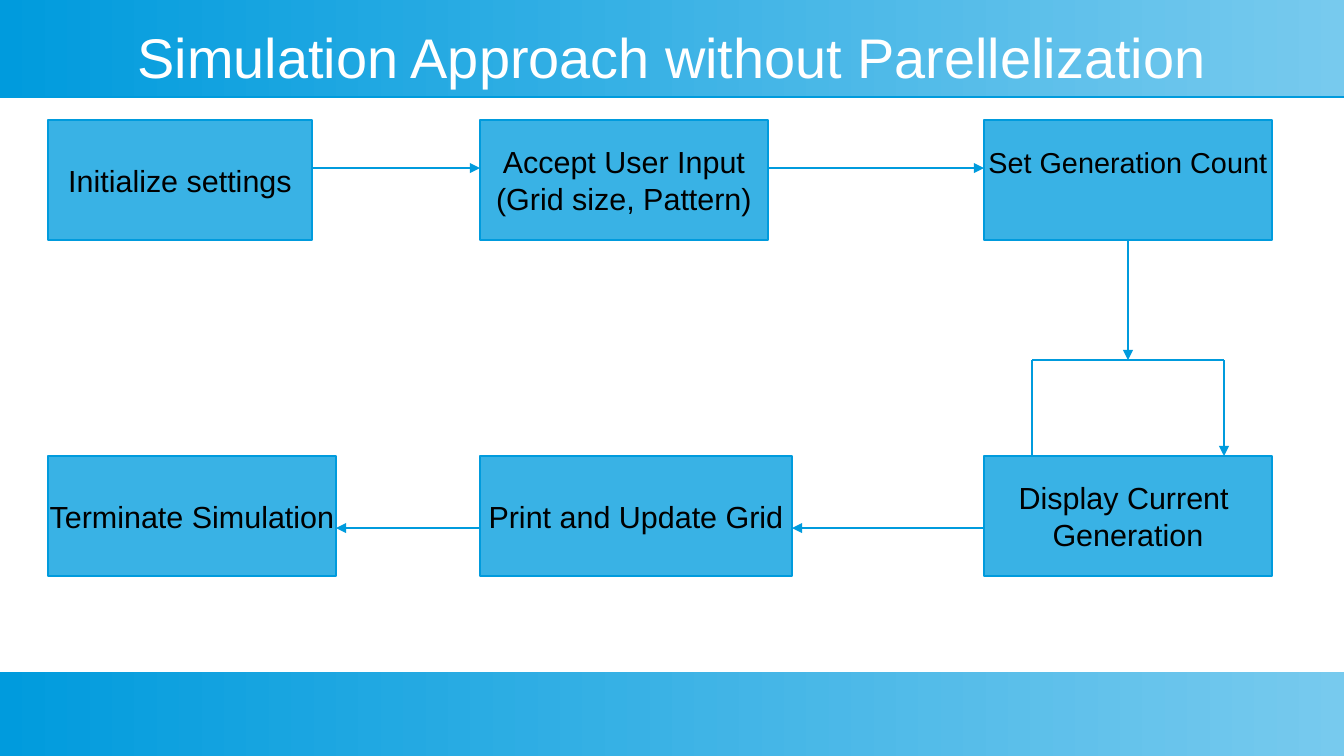
from lxml import etree
from pptx import Presentation
from pptx.dml.color import RGBColor
from pptx.enum.shapes import MSO_CONNECTOR, MSO_SHAPE
from pptx.enum.text import MSO_ANCHOR, PP_ALIGN
from pptx.oxml.ns import qn
from pptx.util import Cm, Pt

RECTANGLE = MSO_SHAPE.RECTANGLE
STRAIGHT = MSO_CONNECTOR.STRAIGHT
MIDDLE = MSO_ANCHOR.MIDDLE
CENTER = PP_ALIGN.CENTER

DEEP_BLUE = RGBColor(0x00, 0x9B, 0xDD)
PALE_BLUE = RGBColor(0x77, 0xCA, 0xEE)
BOX_BLUE = RGBColor(0x39, 0xB2, 0xE5)
BLACK = RGBColor(0x00, 0x00, 0x00)
WHITE = RGBColor(0xFF, 0xFF, 0xFF)

SLIDE_WIDTH, SLIDE_HEIGHT = 28, 15.75
BOX_HEIGHT = 2.5
COLUMNS = (1, 10, 20.5)
TOP_ROW, BOTTOM_ROW = 2.5, 9.5
TOP_FLOW, BOTTOM_FLOW = TOP_ROW + 1, BOTTOM_ROW + 1.5
LOOP_TOP, LOOP_LEFT, LOOP_RIGHT = 7.5, 21.5, 25.5


class FlowSlide:
    font_name = "Arial"
    line_width = Pt(1.42)

    def __init__(self, slide):
        self.shapes = slide.shapes

    def put_text(self, frame, lines, size, color):
        frame.vertical_anchor = MIDDLE
        frame.text = "\n".join(lines)
        for paragraph in frame.paragraphs:
            paragraph.alignment = CENTER
            paragraph.font.name = self.font_name
            paragraph.font.size = Pt(size)
            paragraph.font.color.rgb = color

    def band(self, top, height):
        band = self.shapes.add_shape(
            RECTANGLE, 0, Cm(top), Cm(SLIDE_WIDTH), Cm(height))
        band.shadow.inherit = False
        band.line.fill.background()
        band.fill.gradient()
        band.fill.gradient_angle = 0
        for stop, color in zip(band.fill.gradient_stops, (DEEP_BLUE, PALE_BLUE)):
            stop.color.rgb = color

    def title(self, text):
        title = self.shapes.add_textbox(Cm(1), Cm(0.5), Cm(26), Cm(1.32))
        frame = title.text_frame
        frame.word_wrap = True
        frame.margin_left = frame.margin_right = 0
        frame.margin_top = frame.margin_bottom = 0
        self.put_text(frame, [text], 33, WHITE)

    def step(self, left, top, width, *lines, size=18, lift=0):
        step = self.shapes.add_shape(
            RECTANGLE, Cm(left), Cm(top), Cm(width), Cm(BOX_HEIGHT))
        step.shadow.inherit = False
        step.fill.solid()
        step.fill.fore_color.rgb = BOX_BLUE
        step.line.color.rgb = DEEP_BLUE
        step.line.width = self.line_width
        step.text_frame.word_wrap = False
        step.text_frame.margin_bottom += Cm(lift)
        self.put_text(step.text_frame, lines, size, BLACK)
        return step

    def line(self, start, end, arrow=True, width=line_width):
        line = self.shapes.add_connector(
            STRAIGHT, *(Cm(value) for value in (*start, *end)))
        line.line.color.rgb = DEEP_BLUE
        line.line.width = width
        properties = line._element.spPr
        if arrow:
            outline = properties.find(qn("a:ln"))
            etree.SubElement(outline, qn("a:tailEnd"), type="triangle")
        etree.SubElement(properties, qn("a:effectLst"))
        return line


def main():
    deck = Presentation()
    deck.slide_width, deck.slide_height = Cm(SLIDE_WIDTH), Cm(SLIDE_HEIGHT)
    flow = FlowSlide(deck.slides.add_slide(deck.slide_layouts[6]))

    flow.line((0, 2.02), (SLIDE_WIDTH, 2.02), arrow=False, width=Pt(0.9))
    flow.band(0, 2)
    flow.band(14, 1.75)
    flow.title("Simulation Approach without Parellelization")

    first, second, third = COLUMNS
    flow.step(first, TOP_ROW, 5.5, "Initialize settings")
    flow.step(second, TOP_ROW, 6, "Accept User Input", "(Grid size, Pattern)")
    generation_count = flow.step(
        third, TOP_ROW, 6, "Set Generation Count", size=17, lift=0.73)
    flow.step(third, BOTTOM_ROW, 6, "Display Current ", "Generation")
    flow.step(second, BOTTOM_ROW, 6.5, "Print and Update Grid")
    flow.step(first, BOTTOM_ROW, 6, "Terminate Simulation")

    flow.line((first + 5.5, TOP_FLOW), (second, TOP_FLOW))
    flow.line((second + 6, TOP_FLOW), (third, TOP_FLOW))
    into_loop = flow.line(
        (third + 3, TOP_ROW + BOX_HEIGHT), (third + 3, LOOP_TOP))
    into_loop.begin_connect(generation_count, 2)
    flow.line((LOOP_LEFT, LOOP_TOP), (LOOP_RIGHT, LOOP_TOP), arrow=False)
    flow.line((LOOP_LEFT, LOOP_TOP), (LOOP_LEFT, BOTTOM_ROW), arrow=False)
    flow.line((LOOP_RIGHT, LOOP_TOP), (LOOP_RIGHT, BOTTOM_ROW))
    flow.line((third, BOTTOM_FLOW), (second + 6.5, BOTTOM_FLOW))
    flow.line((second, BOTTOM_FLOW), (first + 6, BOTTOM_FLOW))

    deck.save("out.pptx")


if __name__ == "__main__":
    main()
